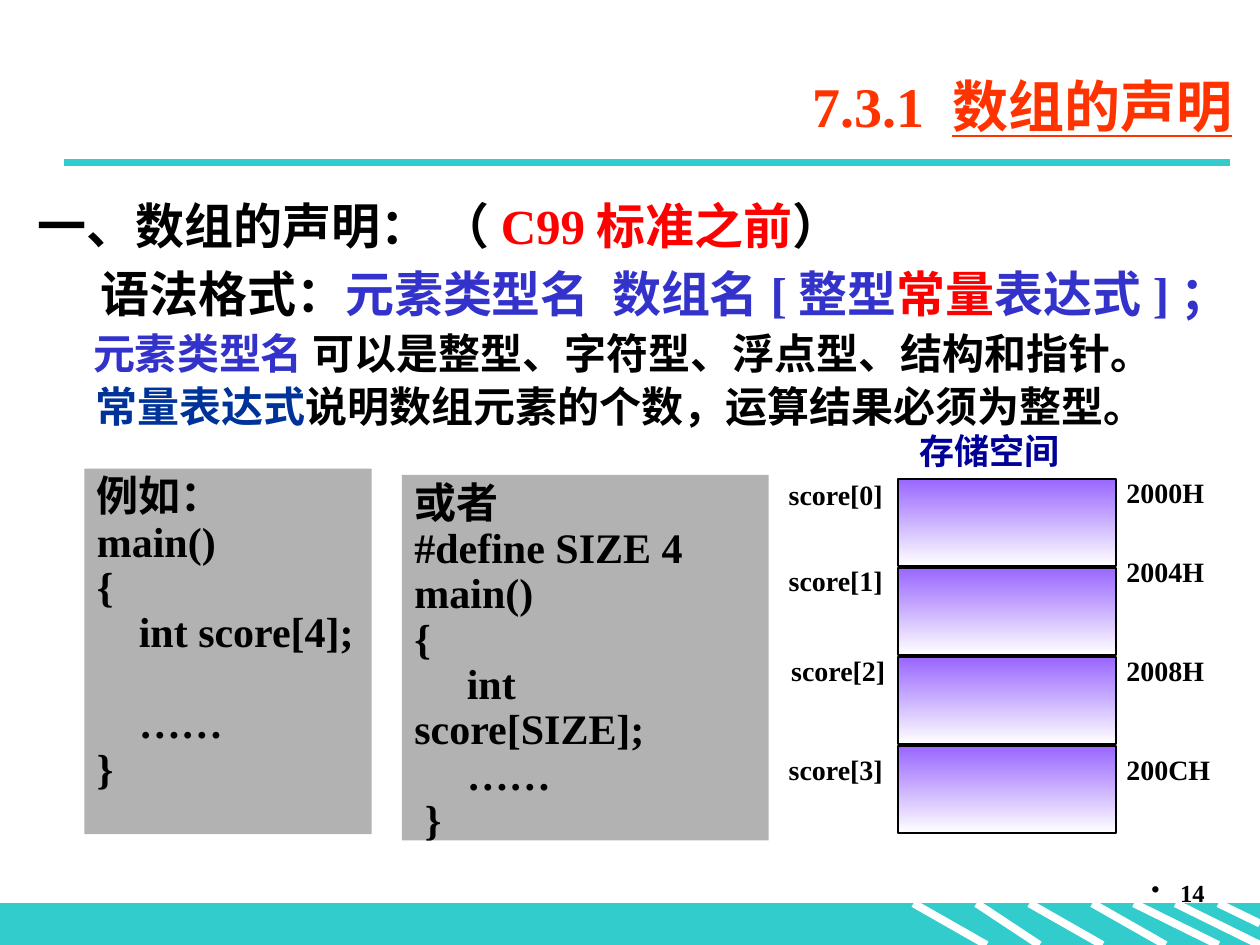
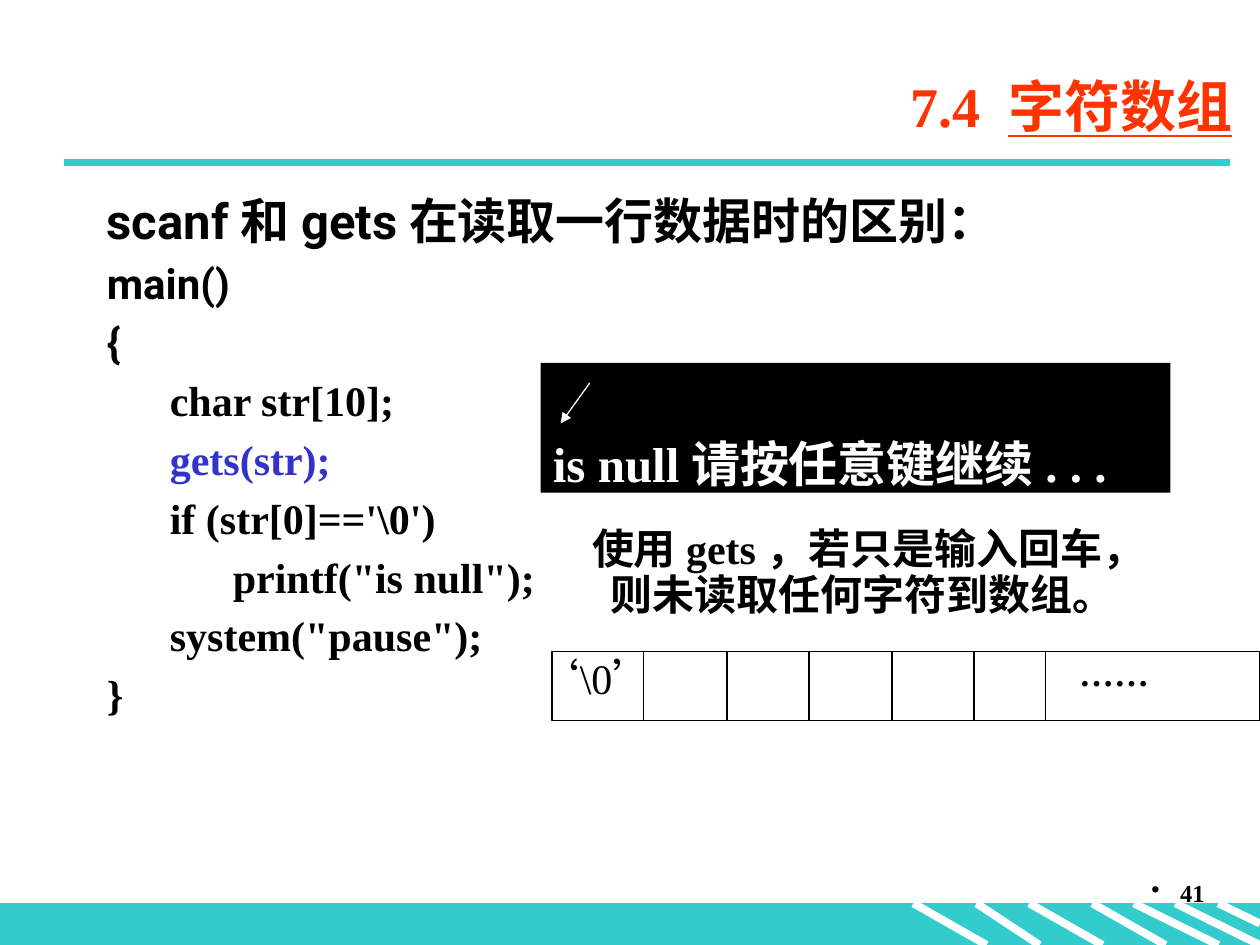
import pptx
import pptx.util
import pptx.dml.color
import pptx.enum.shapes
import pptx.enum.text
import pptx.oxml.ns
import lxml.etree

Inches, Pt = pptx.util.Inches, pptx.util.Pt
RGB = pptx.dml.color.RGBColor.from_string
qn = pptx.oxml.ns.qn
RECT = pptx.enum.shapes.MSO_SHAPE.RECTANGLE
LINE = pptx.enum.shapes.MSO_CONNECTOR.STRAIGHT
ALIGN = pptx.enum.text.PP_ALIGN
ANCHOR = pptx.enum.text.MSO_ANCHOR

INK = {"teal": "33CCCC", "title": "FF3300", "black": "000000", "white": "FFFFFF",
       "red": "FF0000", "blue": "3333CC", "navy": "003399", "deep": "000099",
       "gray": "B2B2B2", "violet": "9966FF"}
SERIF, SANS, HAN = "Times New Roman", "Roboto", "Noto Sans CJK SC"


def write(slide, box, rows, size=24, color="black", font=SERIF, bold=True, lead=1.08,
          fill=None, align=None, anchor=ANCHOR.TOP, pad=(0.1, 0.05), wrap=True):
    """Rows are strings or (runs, options); runs are text or (text, colour) pairs."""
    place = [Inches(n) for n in box]
    if fill:
        shape = slide.shapes.add_shape(RECT, *place)
        shape.shadow.inherit = False
        shape.fill.solid()
        shape.fill.fore_color.rgb = RGB(INK[fill])
        shape.line.fill.background()
    else:
        shape = slide.shapes.add_textbox(*place)
    frame = shape.text_frame
    frame.word_wrap = wrap
    frame.vertical_anchor = anchor
    frame.margin_left = frame.margin_right = Inches(pad[0])
    frame.margin_top = frame.margin_bottom = Inches(pad[1])
    for i, row in enumerate(rows):
        runs, opt = (row, {}) if isinstance(row, str) else row
        para = frame.paragraphs[0] if i == 0 else frame.add_paragraph()
        para.alignment = align or ALIGN.LEFT
        pts = opt.get("size", size)
        para.line_spacing = Pt(round(pts * lead, 1))
        para.space_before = Pt(opt.get("before", 0))
        props = para._p.get_or_add_pPr()
        props.set("marL", str(Inches(opt.get("left", 0))))
        props.set("indent", str(Inches(opt.get("hang", 0))))
        if "bullet" in opt:
            lxml.etree.SubElement(props, qn("a:buChar")).set("char", opt["bullet"])
        para.font.size = Pt(pts)
        para.font.bold = bold
        para.font.name = opt.get("font", font)
        para.font.color.rgb = RGB(INK[opt.get("color", color)])
        lxml.etree.SubElement(props.find(qn("a:defRPr")), qn("a:ea")).set("typeface", HAN)
        for text, tint in [(runs, None)] if isinstance(runs, str) else runs:
            run = para.add_run()
            run.text = text
            if tint:
                run.font.color.rgb = RGB(INK[tint])
    return shape


def rule(slide, start, end, color, width):
    line = slide.shapes.add_connector(LINE, *[Inches(n) for n in start + end])
    line.line.color.rgb = RGB(INK[color])
    line.line.width = Pt(width)
    lxml.etree.SubElement(line._element.spPr, qn("a:effectLst"))
    return line


deck = pptx.Presentation()
deck.slide_width, deck.slide_height = Inches(10), Inches(7.5)

# Shared frame: footer band with hatching, title rule, title, page number
hatch = [(7.25, 7.83), (7.75, 8.25), (8.17, 8.75), (8.67, 9.25), (9, 9.67), (9.33, 10)]
heads = [("7.3.1 ", "数组的声明", "14"), ("7.4 ", "字符数组", "41")]
pages = []
for num, name, page in heads:
    slide = deck.slides.add_slide(deck.slide_layouts[6])
    pages.append(slide)
    band = write(slide, (0, 7.17, 10, 0.33), [], fill="teal")
    band.line.color.rgb = RGB(INK["teal"])
    band.line.width = Pt(0.75)
    for left, right in hatch:
        rule(slide, (left, 7.17), (right, 7.5), "white", 4.5)
    rule(slide, (9.67, 7.17), (10, 7.33), "white", 4.5)
    rule(slide, (0.51, 1.29), (9.76, 1.29), "teal", 4.5)
    title = write(slide, (1.38, 0.44, 8.5, 0.79), [([(num, None), (name, None)], {})],
                  size=32, color="title", lead=1.2, align=ALIGN.RIGHT, anchor=ANCHOR.MIDDLE)
    title.text_frame.paragraphs[0].runs[1].font.underline = True
    write(slide, (7.58, 6.92, 2.08, 0.5),
          [(page, {"bullet": "•", "left": 0.23, "hang": -0.23})],
          size=14, lead=1.2, align=ALIGN.RIGHT)
first, second = pages

# Array declaration: syntax
write(first, (0.2, 1.5, 9.8, 1.89), [
    ([("一、数组的声明： （", None), ("C99标准之前", "red"), ("）", None)], {"size": 28}),
    ([("语法格式：", None), ("元素类型名  数组名[整型", "blue"), ("常量", "red"),
      ("表达式]；", "blue")], {"size": 28, "left": 0.5, "before": 5.6}),
    ([("元素类型名", "blue"), (" 可以是整型、字符型、浮点型、结构和指针。", None)],
     {"left": 0.44, "before": 3}),
    ([("常量表达式", "navy"), ("说明数组元素的个数，运算结果必须为整型。", None)],
     {"left": 0.46, "before": 1}),
], lead=1.2)

# Code samples
write(first, (0.67, 3.72, 2.28, 2.9),
      ["例如：", "main()", "{", "    int score[4];", ("    ……", {"before": 26}), "}"],
      fill="gray")
write(first, (3.19, 3.77, 2.91, 2.9),
      ["或者", "#define SIZE 4", "main()", "{", "     int score[SIZE];", "     ……", " }"],
      fill="gray")

# Memory cells with names and addresses
write(first, (7.2, 3.39, 2.36, 0.43), ["存储空间"], size=20, color="deep")
cells = [(6.26, 3.82, "2000H", 3.8), (6.26, 4.5, "2004H", 4.43),
         (6.28, 5.21, "2008H", 5.21), (6.26, 6, "200CH", 6)]
for i, (left, top, addr, high) in enumerate(cells):
    cell = first.shapes.add_shape(RECT, Inches(7.13), Inches(3.8 + 0.707 * i),
                                  Inches(1.73), Inches(0.69))
    cell.shadow.inherit = False
    cell.fill.gradient()
    cell.fill.gradient_angle = 270
    for stop, tint in zip(cell.fill.gradient_stops, ("violet", "white")):
        stop.color.rgb = RGB(INK[tint])
    cell.line.color.rgb = RGB(INK["black"])
    cell.line.width = Pt(1.25)
    for x, y, text in [(left, top, f"score[{i}]"), (8.94, high, addr)]:
        write(first, (x, y, 0.76, 0.27), [text], size=16, pad=(0, 0), wrap=False)

# Reading a line: program
code = [("main()", 0, "black", SANS), ("{", 0, "black", SANS),
        ("char str[10];", 0.5, "black", SERIF), ("gets(str);", 0.5, "blue", SERIF),
        ("if (str[0]=='\\0')", 0.5, "black", SERIF),
        ('printf("is null");', 1, "black", SERIF),
        ('system("pause");', 0.5, "black", SERIF), ("}", 0, "black", SERIF)]
rows = [("scanf和gets在读取一行数据时的区别：", {"size": 28, "font": SANS})]
for text, left, tint, face in code:
    rows.append((text, {"left": left, "color": tint, "font": face, "before": 4.8}))
write(second, (0.75, 1.46, 8.5, 5.46), rows, lead=1.2)

# Console output
write(second, (4.29, 2.88, 5, 1.03), ["is null请按任意键继续. . ."], size=28,
      color="white", fill="black", anchor=ANCHOR.BOTTOM, pad=(0.1, 0))
arrow = rule(second, (4.68, 3.04), (4.45, 3.36), "white", 0.75)
lxml.etree.SubElement(arrow.line._get_or_add_ln(), qn("a:tailEnd")).set("type", "triangle")
write(second, (4.37, 4.14, 4.95, 0.82),
      [("使用gets，若只是输入回车，则未读取任何字符到数组。", {"left": 0.38, "hang": -0.15})])

# Character array
strip = write(second, (4.38, 5.17, 5.62, 0.55), [], fill="white")
strip.line.color.rgb = RGB(INK["black"])
strip.line.width = Pt(0.75)
for x in (5.11, 5.77, 6.42, 7.08, 7.73, 8.3):
    rule(second, (x, 5.17), (x, 5.72), "black", 0.75)
null = write(second, (4.17, 5.17, 1.3, 0.46),
             [([("‘", None), ("\\0", None), ("’", None)], {})], font=HAN, bold=False)
null.text_frame.paragraphs[0].runs[1].font.name = SERIF
write(second, (8.47, 5.24, 1.39, 0.4), ["……"], size=20, font=HAN)

deck.save("out.pptx")
